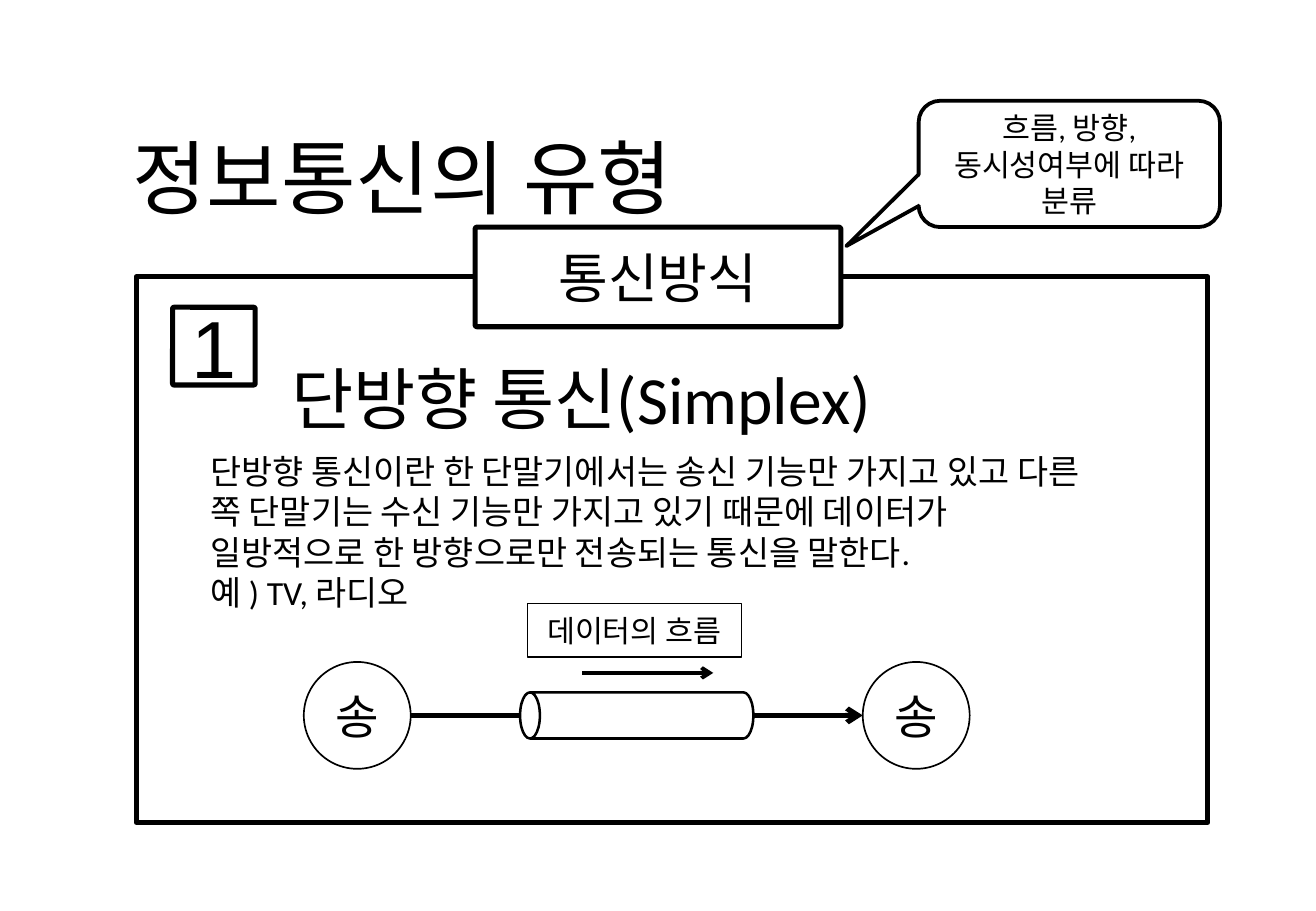
from dataclasses import dataclass

from lxml import etree
from pptx import Presentation
from pptx import util as u
from pptx.dml.color import RGBColor
from pptx.enum import shapes, text
from pptx.oxml import ns

SHAPE = shapes.MSO_SHAPE
ALIGN = text.PP_ALIGN
ANCHOR = text.MSO_ANCHOR


@dataclass(frozen=True)
class Theme:
    """Colours, fonts, type sizes and line widths in points."""
    ink: RGBColor = RGBColor(0, 0, 0)
    paper: RGBColor = RGBColor(255, 255, 255)
    font: str = "Calibri"
    digit_font: str = "Arial"
    title: float = 48
    topic: float = 40
    heading: float = 32
    node: float = 28
    body: float = 20
    note: float = 18
    heavy: float = 3
    medium: float = 2.25
    pipe: float = 1.5
    thin: float = 1
    hair: float = 0.75


class Deck:
    """Draws on one slide; lengths are columns and rows of a 0.1 inch grid."""
    CELL = u.Inches(0.1)

    def __init__(self, prs, theme):
        """Add a title-and-content slide to the presentation."""
        self.t = theme
        self.s = prs.slides.add_slide(prs.slide_layouts[1])

    def grid(self, *cells):
        """Turn grid cells into slide lengths."""
        return [round(c * self.CELL) for c in cells]

    def set_text(self, sp, words, size, align=ALIGN.LEFT, anchor=ANCHOR.TOP, font=None):
        """Set the text of a shape and format all of its runs."""
        tf = sp.text_frame
        tf.text = words
        tf.word_wrap = True
        tf.auto_size = text.MSO_AUTO_SIZE.NONE
        tf.vertical_anchor = anchor
        for p in tf.paragraphs:
            p.alignment = align
            p.line_spacing = 1.0
            p.space_before = u.Pt(0)
            for r in p.runs:
                r.font.size = u.Pt(size)
                r.font.name = font or self.t.font
                r.font.color.rgb = self.t.ink

    def placeholder(self, idx, at, words, size):
        """Move and fill a template placeholder, without bullets."""
        sp = self.s.placeholders[idx]
        sp.left, sp.top, sp.width, sp.height = self.grid(*at)
        self.set_text(sp, words, size)
        for p in sp.text_frame.paragraphs:
            pPr = p._p.get_or_add_pPr()
            pPr.set("marL", "0")
            pPr.set("indent", "0")
            etree.SubElement(pPr, ns.qn("a:buNone"))

    def label(self, at, words, size):
        """Add a left-aligned text box."""
        self.set_text(self.s.shapes.add_textbox(*self.grid(*at)), words, size)

    def box(self, kind, at, width, words="", size=0, adj=(), font=None):
        """Add an outlined preset shape with optional centred text."""
        sp = self.s.shapes.add_shape(kind, *self.grid(*at))
        sp.shadow.inherit = False
        sp.fill.solid()
        sp.fill.fore_color.rgb = self.t.paper
        sp.line.color.rgb = self.t.ink
        sp.line.width = u.Pt(width)
        for i, value in enumerate(adj):
            sp.adjustments[i] = value
        if words:
            self.set_text(sp, words, size, ALIGN.CENTER, ANCHOR.MIDDLE, font)
        return sp

    def frame(self, at, width):
        """Add a rectangle behind everything else."""
        sp = self.box(SHAPE.RECTANGLE, at, width)
        sp.element.getparent().insert(2, sp.element)

    def arrow(self, x1, x2, y, width):
        """Add a horizontal arrow from x1 to x2."""
        line = self.s.shapes.add_connector(
            shapes.MSO_CONNECTOR.STRAIGHT, *self.grid(x1, y, x2, y))
        line.line.color.rgb = self.t.ink
        line.line.width = u.Pt(width)
        ln = line.element.spPr.find(ns.qn("a:ln"))
        etree.SubElement(ln, ns.qn("a:tailEnd"), type="arrow")
        etree.SubElement(line.element.spPr, ns.qn("a:effectLst"))


def build():
    """Build the slide on simplex communication."""
    prs = Presentation()
    prs.slide_width, prs.slide_height = u.Inches(10.83), u.Inches(7.5)
    t = Theme()
    d = Deck(prs, t)

    d.frame((11.2, 22.8, 88.2, 44.9), t.heavy)
    d.placeholder(0, (9.9, 10, 53.1, 9.1), "정보통신의 유형", t.title)
    d.placeholder(1, (16.3, 36.6, 80.2, 14.5),
                  "단방향 통신이란 한 단말기에서는 송신 기능만 가지고 있고 다른\v"
                  "쪽 단말기는 수신 기능만 가지고 있기 때문에 데이터가\v"
                  "일방적으로 한 방향으로만 전송되는 통신을 말한다.\n"
                  "예 ) TV, 라디오", t.body)
    d.box(SHAPE.ROUNDED_RECTANGLE, (39.1, 18.7, 30.1, 8.2), t.heavy,
          "통신방식", t.heading, (0.02,))
    d.box(SHAPE.ROUNDED_RECTANGLE, (14.2, 25.3, 6.8, 6.4), t.heavy,
          "1", t.title, (0.02,), t.digit_font)
    d.label((23, 28.9, 60.2, 7.7), "단방향 통신(Simplex)", t.topic)

    # Both stations, the link and the pipe share one axis
    axis, size, sender, receiver = 58.9, 8.8, 25, 71
    for x in (sender, receiver):
        d.box(SHAPE.OVAL, (x, axis - size / 2, size, size), t.thin, "송", t.node)
    d.arrow(sender + size, receiver, axis, t.heavy)
    bore, length, middle = 3.8, 19.2, 52.4
    pipe = d.box(SHAPE.CAN, (middle - bore / 2, axis - length / 2, bore, length),
                 t.pipe, adj=(0.43,))
    pipe.rotation = 270
    d.arrow(47.9, 58.7, 55.4, t.medium)
    d.box(SHAPE.RECTANGLE, (43.4, 49.7, 17.6, 4.4), t.hair, "데이터의 흐름", t.note)

    d.box(SHAPE.ROUNDED_RECTANGULAR_CALLOUT, (75.6, 8.3, 24.8, 10.4), t.medium,
          "흐름, 방향,\n동시성여부에 따라\n분류", t.note, (-0.74, 0.65, 0.17))
    prs.save("out.pptx")


build()
